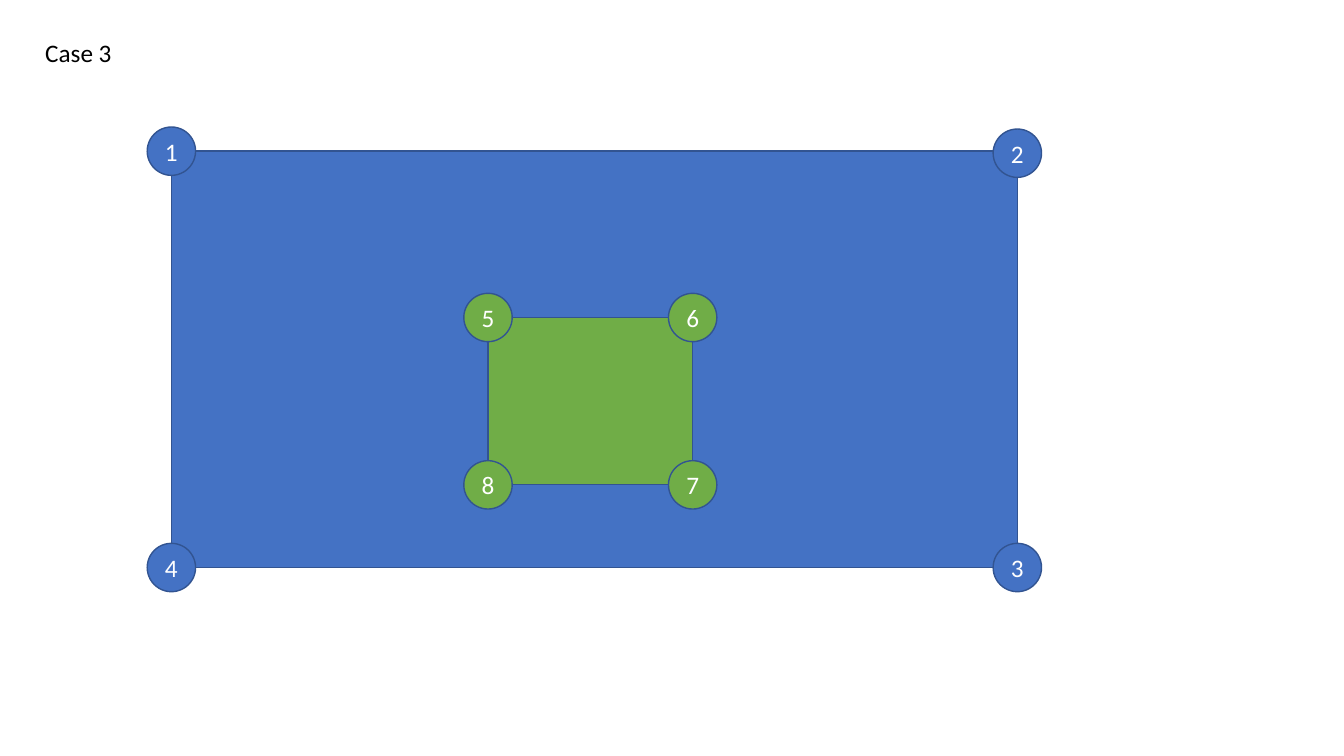
import pptx
import pptx.util
import pptx.dml.color
import pptx.enum.shapes
import pptx.enum.text

HUES = {"blue": "4472C4", "green": "70AD47", "edge": "325491",
        "white": "FFFFFF", "black": "000000"}
KINDS = pptx.enum.shapes.MSO_SHAPE
ALIGN = pptx.enum.text.PP_ALIGN
MID = pptx.enum.text.MSO_ANCHOR.MIDDLE
FIT = pptx.enum.text.MSO_AUTO_SIZE.SHAPE_TO_FIT_TEXT


def apply(target, values):
    for name, value in values.items():
        setattr(target, name, value)


def hue(name):
    return pptx.dml.color.RGBColor.from_string(HUES[name])


class Board:
    """Places elements on a grid with cells of a tenth of an inch."""
    cell = 0.1
    node = 4.8
    font = {"name": "Calibri", "size": pptx.util.Pt(18)}

    def __init__(self, slide):
        self.slide = slide

    def grid(self, *cells):
        return [pptx.util.Inches(n * self.cell) for n in cells]

    def shape(self, kind, box, fill):
        item = self.slide.shapes.add_shape(kind, *self.grid(*box))
        item.shadow.inherit = False
        item.fill.solid()
        item.fill.fore_color.rgb = hue(fill)
        item.line.color.rgb = hue("edge")
        item.line.width = pptx.util.Pt(1)
        return item

    def letter(self, item, text, color, align, frame):
        apply(item.text_frame, frame)
        para = item.text_frame.paragraphs[0]
        para.alignment = align
        run = para.add_run()
        run.text = text
        apply(run.font, self.font)
        run.font.color.rgb = hue(color)

    def label(self, text, box):
        item = self.slide.shapes.add_textbox(*self.grid(*box))
        self.letter(item, text, "black", ALIGN.LEFT,
                    {"word_wrap": False, "auto_size": FIT})

    def panel(self, box, fill):
        self.shape(KINDS.RECTANGLE, box, fill)

    def corners(self, box, fill, first, drops):
        """Numbers the corners clockwise from the top left."""
        x, y, w, h = box
        spots = [(x, y), (x + w, y), (x + w, y + h), (x, y + h)]
        for num, (col, row) in enumerate(spots, first):
            left = col - self.node / 2
            top = row - self.node / 2 + drops.get(num, 0)
            item = self.shape(KINDS.OVAL, (left, top, self.node, self.node), fill)
            self.letter(item, str(num), "white", ALIGN.CENTER,
                        {"vertical_anchor": MID, "margin_left": 0, "margin_right": 0})


deck = pptx.Presentation()
apply(deck, {"slide_width": pptx.util.Inches(13.33),
             "slide_height": pptx.util.Inches(7.5)})
board = Board(deck.slides.add_slide(deck.slide_layouts[6]))

# Outer and inner panels: box, fill, first corner number
panels = [((17, 15, 83.9, 41.3), "blue", 1),
          ((48.4, 31.5, 20.3, 16.6), "green", 5)]
for box, fill, first in panels:
    board.panel(box, fill)

# Numbered corners; number 2 sits slightly lower
for box, fill, first in panels:
    board.corners(box, fill, first, {2: 0.2})

# Title
board.label("Case 3", (3.5, 3.2, 8.7, 4))

deck.save("out.pptx")
